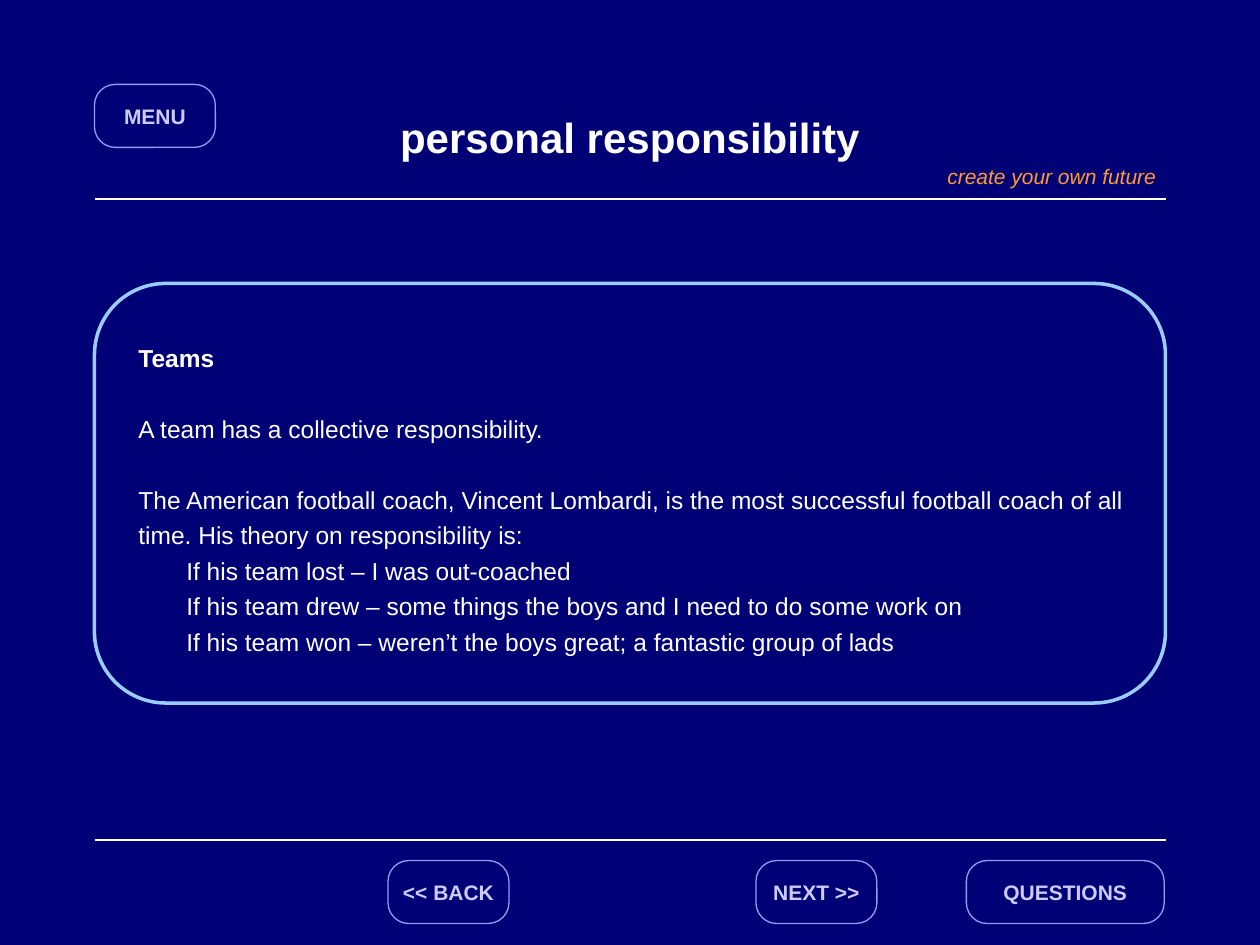
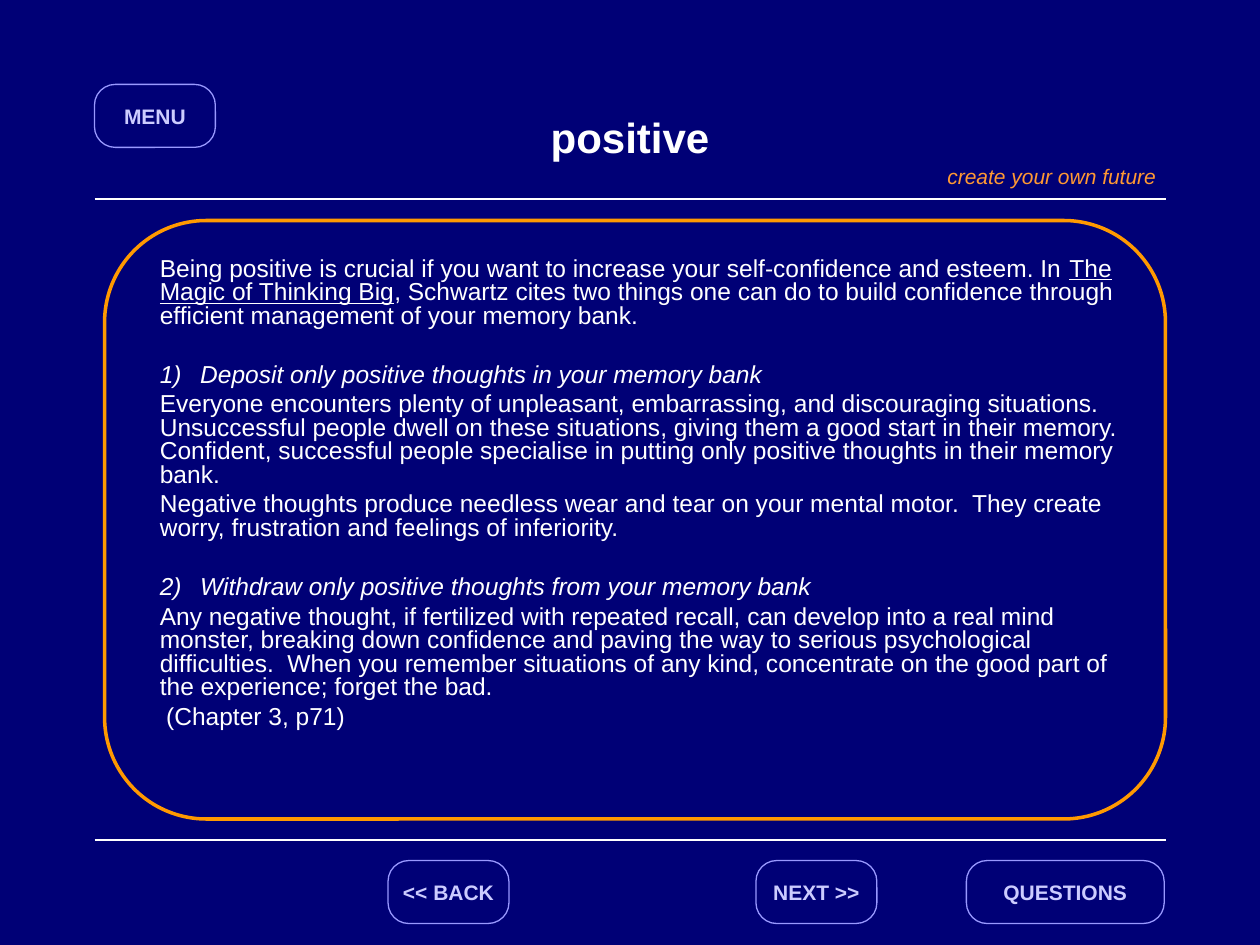
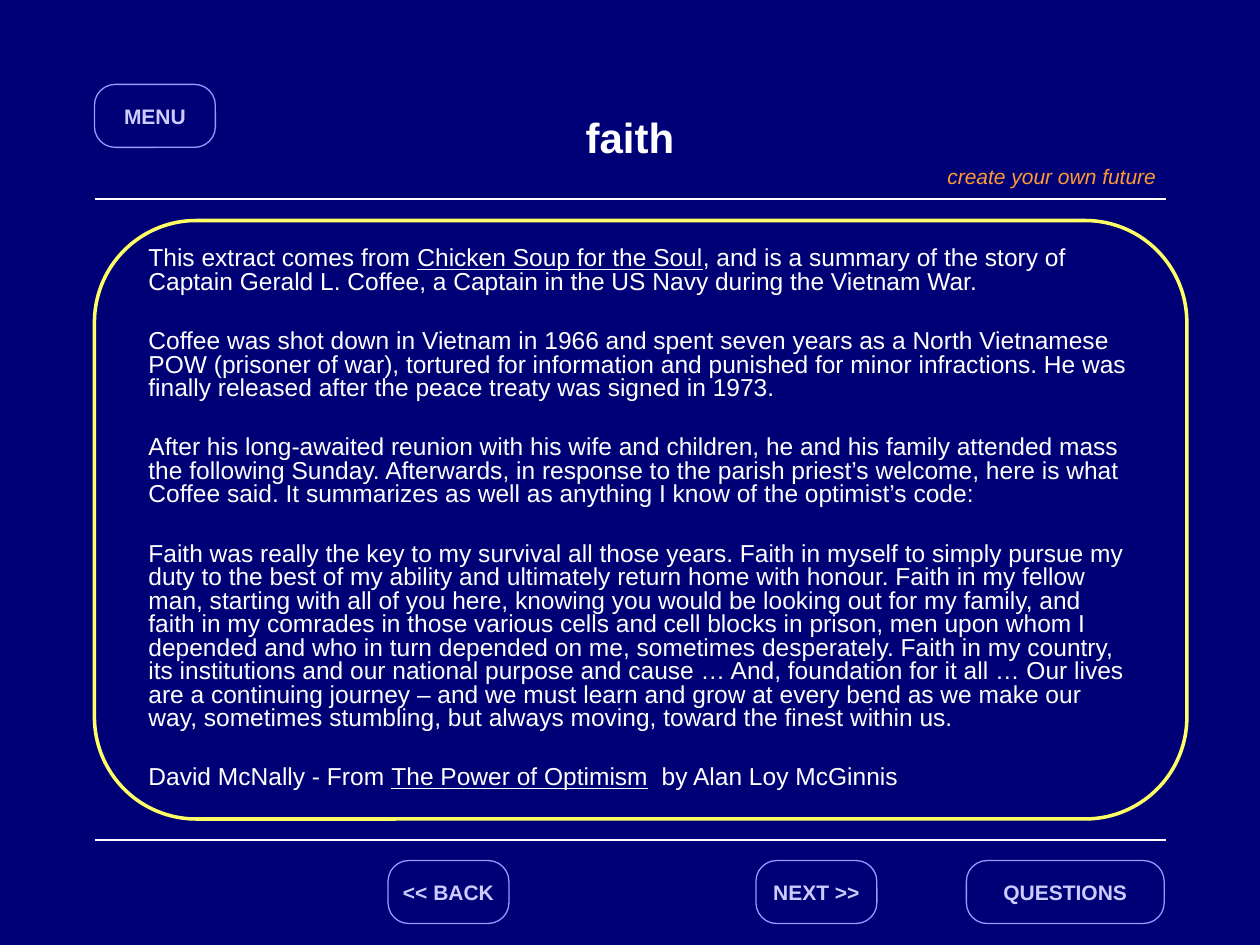
from dataclasses import dataclass

from pptx import Presentation, util as u
from pptx.dml import color as dml
from pptx.enum import shapes, text
from lxml import etree
from pptx.oxml import ns

FONT = "Arial"
NAVY, WHITE, ORANGE = "000076", "FFFFFF", "FF9933"
BUTTON_LINE, BUTTON_TEXT = "9999FF", "CCCCFF"
LEFT, RIGHT = 0.75, 9.25
RULE_TOPS = (1.58, 6.67)
LEAD = 3.5


@dataclass(frozen=True)
class Area:
    """A place on the slide, in inches."""
    left: float
    top: float
    width: float
    height: float

    def lengths(self) -> tuple:
        """Return left, top, width and height as lengths."""
        return tuple(u.Inches(v) for v in (self.left, self.top, self.width, self.height))


@dataclass(frozen=True)
class Span:
    """A stretch of text with its own style."""
    words: str
    underline: bool = False


@dataclass(frozen=True)
class Para:
    """A paragraph of body text with its spacing and indents."""
    content: str | tuple[Span, ...]
    before: float = LEAD
    bold: bool = False
    italic: bool = False
    margin: float = 0
    hanging: float = 0


@dataclass(frozen=True)
class Button:
    """A navigation button."""
    label: str
    area: Area


@dataclass(frozen=True)
class Topic:
    """One slide: its title, framed panel and body text."""
    title: str
    panel: Area
    panel_color: str
    body: Area
    paras: tuple[Para, ...]
    line_spacing: float = 1.0


TITLE_AREA = Area(LEFT, 0.67, 8.5, 0.83)
TAGLINE_AREA = Area(7.42, 1.25, 1.92, 0.3)
BUTTONS = (
    Button("MENU", Area(LEFT, 0.67, 0.96, 0.5)),
    Button("<< BACK", Area(3.08, 6.83, 0.96, 0.5)),
    Button("NEXT >>", Area(6, 6.83, 0.96, 0.5)),
    Button("QUESTIONS", Area(7.67, 6.83, 1.57, 0.5)),
)
OPEN_GAP, TIGHT_GAP = 23.8, 20.4

TOPICS = (
    Topic(
        "personal responsibility", Area(LEFT, 2.25, 8.5, 3.33), "99CCFF", Area(1, 2.67, 8.25, 3.83),
        (
            Para("Teams", bold=True),
            Para("A team has a collective responsibility.", OPEN_GAP),
            Para("The American football coach, Vincent Lombardi, is the most successful "
                 "football coach of all", OPEN_GAP),
            Para("time. His theory on responsibility is:"),
            Para("If his team lost – I was out-coached", margin=0.38),
            Para("If his team drew – some things the boys and I need to do some work on", margin=0.38),
            Para("If his team won – weren’t the boys great; a fantastic group of lads", margin=0.38),
        ),
    ),
    Topic(
        "positive", Area(0.83, 1.75, 8.42, 4.75), "FF9900", Area(1.17, 2, 7.92, 4.5),
        (
            Para((
                Span("Being positive is crucial if you want to increase your self-confidence "
                     "and esteem. In "),
                Span("The Magic of Thinking Big", underline=True),
                Span(", Schwartz cites two things one can do to build confidence through "
                     "efficient management of your memory bank."),
            )),
            Para("1)\tDeposit only positive thoughts in your memory bank", TIGHT_GAP,
                 italic=True, margin=0.32, hanging=0.32),
            Para("Everyone encounters plenty of unpleasant, embarrassing, and discouraging "
                 "situations.  Unsuccessful people dwell on these situations, giving them a good "
                 "start in their memory.  Confident, successful people specialise in putting only "
                 "positive thoughts in their memory bank."),
            Para("Negative thoughts produce needless wear and tear on your mental motor.  They "
                 "create worry, frustration and feelings of inferiority."),
            Para("2)\tWithdraw only positive thoughts from your memory bank", TIGHT_GAP,
                 italic=True, margin=0.32, hanging=0.32),
            Para("Any negative thought, if fertilized with repeated recall, can develop into a "
                 "real mind monster, breaking down confidence and paving the way to serious "
                 "psychological difficulties.  When you remember situations of any kind, "
                 "concentrate on the good part of the experience; forget the bad."),
            Para("(Chapter 3, p71)", margin=0.05),
        ),
        line_spacing=0.8,
    ),
    Topic(
        "faith", Area(LEFT, 1.75, 8.67, 4.75), "FFFF66", Area(1.08, 1.92, 8, 4.58),
        (
            Para((
                Span("This extract comes from "),
                Span("Chicken Soup for the Soul", underline=True),
                Span(", and is a summary of the story of Captain Gerald L. Coffee, a Captain in "
                     "the US Navy during the Vietnam War."),
            )),
            Para("Coffee was shot down in Vietnam in 1966 and spent seven years as a North "
                 "Vietnamese POW (prisoner of war), tortured for information and punished for "
                 "minor infractions. He was finally released after the peace treaty was signed "
                 "in 1973.", TIGHT_GAP),
            Para("After his long-awaited reunion with his wife and children, he and his family "
                 "attended mass the following Sunday. Afterwards, in response to the parish "
                 "priest’s welcome, here is what Coffee said. It summarizes as well as anything "
                 "I know of the optimist’s code:", TIGHT_GAP),
            Para("Faith was really the key to my survival all those years. Faith in myself to "
                 "simply pursue my duty to the best of my ability and ultimately return home with "
                 "honour. Faith in my fellow man, starting with all of you here, knowing you would "
                 "be looking out for my family, and faith in my comrades in those various cells "
                 "and cell blocks in prison, men upon whom I depended and who in turn depended on "
                 "me, sometimes desperately. Faith in my country, its institutions and our "
                 "national purpose and cause … And, foundation for it all … Our lives are a "
                 "continuing journey – and we must learn and grow at every bend as we make our "
                 "way, sometimes stumbling, but always moving, toward the finest within us.",
                 TIGHT_GAP),
            Para((
                Span("David McNally - From "),
                Span("The Power of Optimism", underline=True),
                Span("  by Alan Loy McGinnis"),
            ), TIGHT_GAP),
        ),
        line_spacing=0.8,
    ),
)


def rgb(value: str) -> dml.RGBColor:
    """Turn a hex string into a colour."""
    return dml.RGBColor.from_string(value)


def add_text(para, words: str, *, size: float, color: str = WHITE, bold: bool = False,
             italic: bool = False, underline: bool = False, align=text.PP_ALIGN.LEFT) -> None:
    """Add one formatted span to a paragraph."""
    para.alignment = align
    span = para.add_run()
    span.text = words
    font = span.font
    font.name, font.size = FONT, u.Pt(size)
    font.bold, font.italic, font.underline = bold, italic, underline
    font.color.rgb = rgb(color)


def prepare_frame(box, *, wrap: bool = True, anchor=text.MSO_ANCHOR.TOP):
    """Set wrapping, anchor and sizing, and return the text frame."""
    frame = box.text_frame
    frame.word_wrap = wrap
    frame.auto_size = text.MSO_AUTO_SIZE.NONE
    frame.vertical_anchor = anchor
    return frame


def add_rounded(page, area: Area, radius: float, color: str, weight: float, fill: str | None = None):
    """Draw a rounded rectangle with an outline."""
    box = page.shapes.add_shape(shapes.MSO_SHAPE.ROUNDED_RECTANGLE, *area.lengths())
    box.shadow.inherit = False
    box.adjustments[0] = radius
    if fill:
        box.fill.solid()
        box.fill.fore_color.rgb = rgb(fill)
    else:
        box.fill.background()
    box.line.color.rgb = rgb(color)
    box.line.width = u.Pt(weight)
    return box


def add_rule(page, top: float) -> None:
    """Draw a white line across the slide."""
    rule = page.shapes.add_connector(shapes.MSO_CONNECTOR.STRAIGHT, u.Inches(LEFT), u.Inches(top),
                                     u.Inches(RIGHT), u.Inches(top))
    rule.line.color.rgb = rgb(WHITE)
    rule.line.width = u.Pt(1.25)
    etree.SubElement(rule._element.spPr, ns.qn("a:effectLst"))


def add_button(page, button: Button) -> None:
    """Draw a navigation button."""
    box = add_rounded(page, button.area, 0.33, BUTTON_LINE, 0.75, NAVY)
    frame = prepare_frame(box, wrap=False, anchor=text.MSO_ANCHOR.MIDDLE)
    add_text(frame.paragraphs[0], button.label, size=12, color=BUTTON_TEXT, bold=True,
             align=text.PP_ALIGN.CENTER)


def add_title(page, words: str) -> None:
    """Place and format the title."""
    title = page.shapes.title
    title.left, title.top, title.width, title.height = TITLE_AREA.lengths()
    frame = prepare_frame(title, anchor=text.MSO_ANCHOR.MIDDLE)
    add_text(frame.paragraphs[0], words, size=24, bold=True, align=text.PP_ALIGN.CENTER)


def add_tagline(page) -> None:
    """Write the tagline above the upper line."""
    frame = prepare_frame(page.shapes.add_textbox(*TAGLINE_AREA.lengths()))
    add_text(frame.paragraphs[0], "create your own future", size=12, color=ORANGE, italic=True)


def add_body(page, topic: Topic) -> None:
    """Write the body paragraphs of a topic."""
    frame = prepare_frame(page.shapes.add_textbox(*topic.body.lengths()))
    for index, item in enumerate(topic.paras):
        para = frame.add_paragraph() if index else frame.paragraphs[0]
        para.line_spacing = topic.line_spacing
        para.space_before = u.Pt(item.before if index else 0)
        properties = para._p.get_or_add_pPr()
        properties.set("marL", str(u.Inches(item.margin)))
        properties.set("indent", str(u.Inches(-item.hanging)))
        spans = (Span(item.content),) if isinstance(item.content, str) else item.content
        for span in spans:
            add_text(para, span.words, size=14, bold=item.bold, italic=item.italic,
                     underline=span.underline)


def add_topic(deck, topic: Topic) -> None:
    """Build one slide."""
    page = deck.slides.add_slide(deck.slide_layouts.get_by_name("Title Only"))
    add_title(page, topic.title)
    for top in RULE_TOPS:
        add_rule(page, top)
    add_tagline(page)
    add_body(page, topic)
    add_rounded(page, topic.panel, 0.17, topic.panel_color, 2)
    for button in BUTTONS:
        add_button(page, button)


def main() -> None:
    """Build and save the deck."""
    deck = Presentation()
    deck.slide_width, deck.slide_height = u.Inches(10), u.Inches(7.5)
    background = deck.slide_master.background.fill
    background.solid()
    background.fore_color.rgb = rgb(NAVY)
    for topic in TOPICS:
        add_topic(deck, topic)
    deck.save("out.pptx")


if __name__ == "__main__":
    main()
